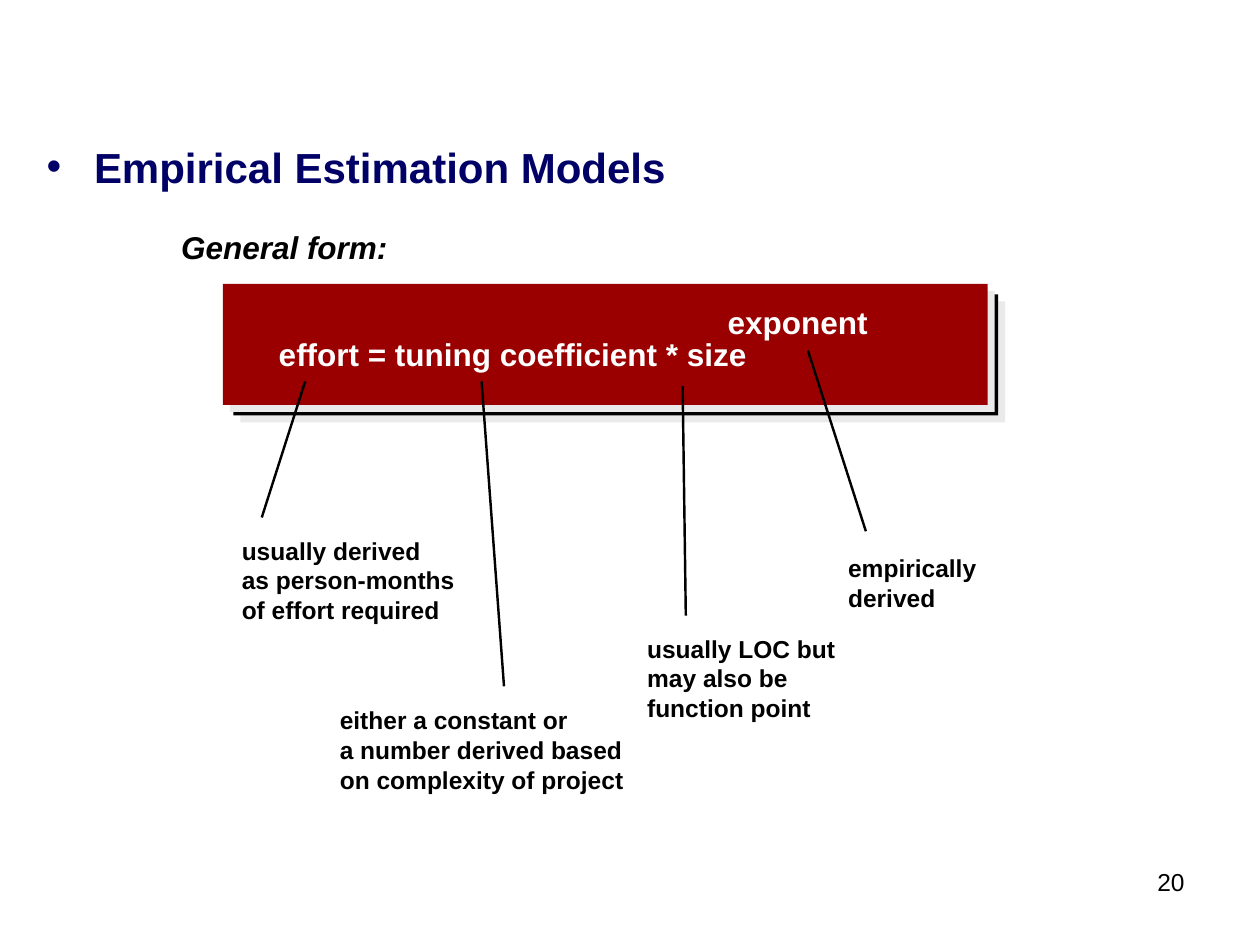
"""Build the slide on the general form of empirical estimation models."""
from lxml import etree
from pptx import Presentation
from pptx.dml.color import RGBColor
from pptx.enum.shapes import MSO_CONNECTOR, MSO_SHAPE
from pptx.enum.text import MSO_ANCHOR, PP_ALIGN
from pptx.oxml import parse_xml
from pptx.oxml.ns import nsdecls, qn
from pptx.util import Pt

RECTANGLE = MSO_SHAPE.RECTANGLE
STRAIGHT = MSO_CONNECTOR.STRAIGHT
TOP = MSO_ANCHOR.TOP
LEFT, RIGHT = PP_ALIGN.LEFT, PP_ALIGN.RIGHT
BLACK, WHITE, NAVY, RED, SHADOW = "000000", "FFFFFF", "000066", "9A0000", "EAEAEA"


def color(value):
    return RGBColor.from_string(value)


def write(box, lines, size, text_color, bold=True, italic=False, spacing=None, align=LEFT, margins=(0, 0)):
    frame = box.text_frame
    frame.vertical_anchor = TOP
    frame.margin_left = frame.margin_right = Pt(margins[0])
    frame.margin_top = frame.margin_bottom = Pt(margins[1])
    for index, line in enumerate(lines):
        para = frame.paragraphs[0] if index == 0 else frame.add_paragraph()
        para.alignment = align
        para.line_spacing = spacing
        para.space_before = Pt(0)
        span = para.add_run()
        span.text = line
        span.font.name = "Arial"
        span.font.size = Pt(size)
        span.font.bold = bold
        span.font.italic = italic
        span.font.color.rgb = color(text_color)


deck = Presentation()
deck.slide_width, deck.slide_height = Pt(720), Pt(540)
page = deck.slides.add_slide(deck.slide_layouts[5])

title = page.shapes.title
title.left, title.top, title.width, title.height = Pt(19.5), Pt(77), Pt(648), Pt(68.4)
write(title, ["Empirical Estimation Models"], 24, NAVY, margins=(7.2, 3.6))
title.text_frame.word_wrap = True
properties = title.text_frame.paragraphs[0]._p.get_or_add_pPr()
properties.set("marL", str(Pt(27)))
properties.set("indent", str(Pt(-27)))
bullet_color = etree.SubElement(properties, qn("a:buClr"))
etree.SubElement(bullet_color, qn("a:srgbClr"), val=NAVY)
etree.SubElement(properties, qn("a:buFont"), typeface="Arial")
etree.SubElement(properties, qn("a:buChar"), char="•")

number = page.shapes.add_textbox(Pt(535.7), Pt(491.8), Pt(148.3), Pt(37.4))
write(number, ["20"], 14, BLACK, bold=False, align=RIGHT, margins=(7.2, 3.6))
number.text_frame.word_wrap = True

for left, top, fill in [(133.4, 168.2, BLACK), (127.4, 162.2, RED)]:
    panel = page.shapes.add_shape(RECTANGLE, Pt(left), Pt(top), Pt(437), Pt(69.2))
    panel.shadow.inherit = False
    panel.fill.solid()
    panel.fill.fore_color.rgb = color(fill)
    panel.line.fill.background()
    effects = panel._element.spPr.find(qn("a:effectLst"))
    effects.append(parse_xml(
        f'<a:outerShdw {nsdecls("a")} dist="{Pt(5.7)}" dir="2700000" algn="ctr" rotWithShape="0">'
        f'<a:srgbClr val="{SHADOW}"/></a:outerShdw>'))

formula_parts = [
    ("General form:", 103.5, 132.5, 118, BLACK, True),
    ("effort = tuning coefficient * size", 159.3, 193.7, 268, WHITE, False),
    ("exponent", 415.8, 175.5, 80, WHITE, False),
]
for text, left, top, width, text_color, italic in formula_parts:
    box = page.shapes.add_textbox(Pt(left), Pt(top), Pt(width), Pt(19.5))
    write(box, [text], 18, text_color, italic=italic, spacing=0.9)
    box.text_frame.word_wrap = False

callouts = [
    ((174.4, 218), (149.6, 295.7), (138.2, 306, 122), ["usually derived", "as person-months", "of effort required"]),
    ((275.2, 218), (288, 392.2), (194.2, 403, 166),
     ["either a constant or", "a number derived based", "on complexity of project"]),
    ((390.1, 220.5), (391.9, 351.8), (369.8, 362, 108), ["usually LOC but", "may also be", "function point"]),
    ((461.7, 200.3), (494.8, 303.6), (484.6, 316, 74), ["empirically", "derived"]),
]
for start, end, (left, top, width), lines in callouts:
    pointer = page.shapes.add_connector(STRAIGHT, *map(Pt, start + end))
    pointer.line.color.rgb = color(BLACK)
    pointer.line.width = Pt(1.39)
    etree.SubElement(pointer._element.spPr, qn("a:effectLst"))
    label = page.shapes.add_textbox(Pt(left), Pt(top), Pt(width), Pt(16.9 * len(lines)))
    write(label, lines, 14, BLACK, spacing=Pt(16.9))
    label.text_frame.word_wrap = False

deck.save("out.pptx")
